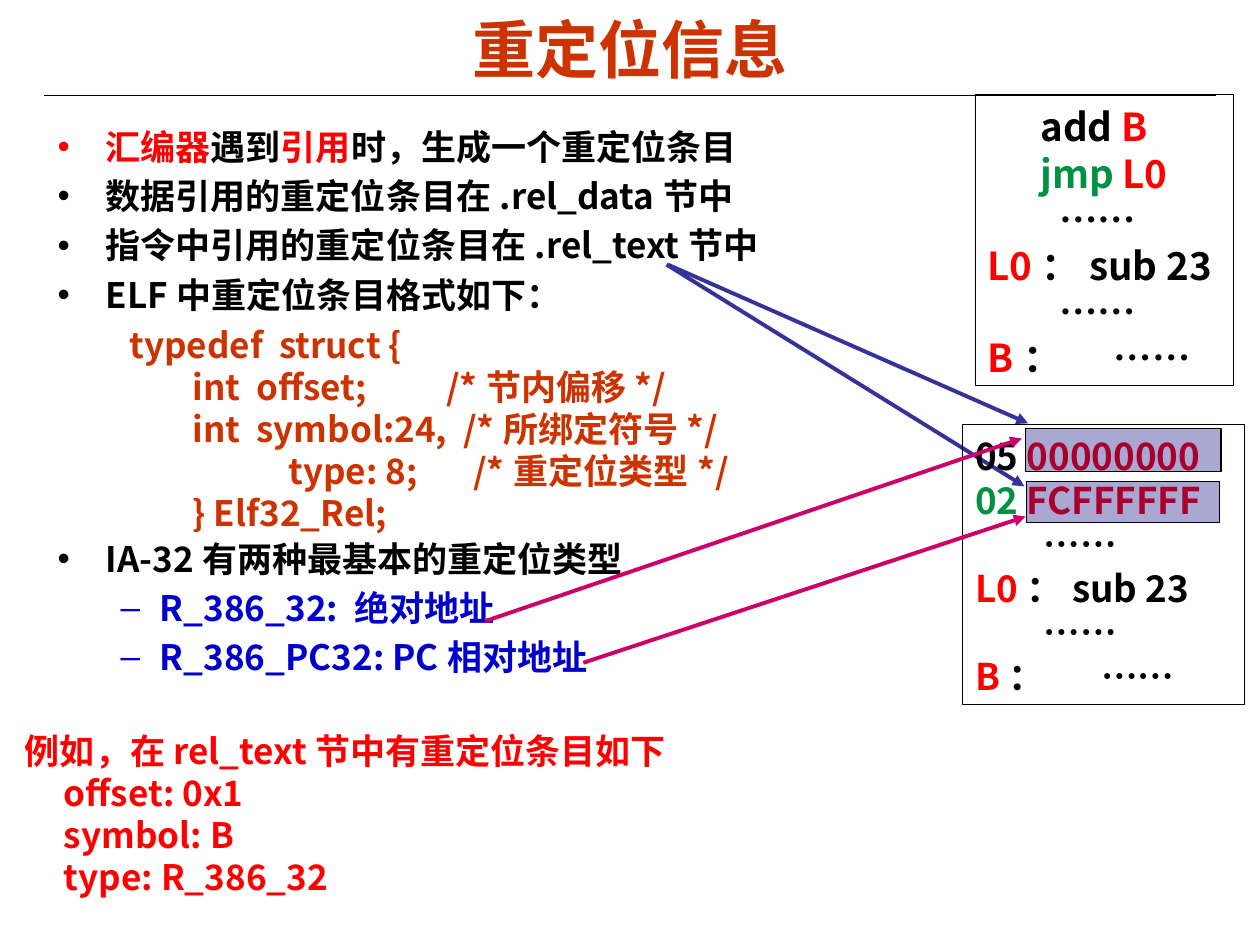
from collections import namedtuple

from lxml.etree import SubElement
from pptx import Presentation
from pptx.dml.color import RGBColor
from pptx.enum.shapes import MSO_CONNECTOR, MSO_SHAPE
from pptx.enum.text import MSO_ANCHOR, PP_ALIGN
from pptx.oxml.ns import qn
from pptx.util import Inches, Pt

Box = namedtuple("Box", "left top width height")
COLUMNS, ROWS = 100, 75
BODY_FONT = "Noto Sans CJK SC"
BLACK, RED, GREEN, RUST = "000000", "FF0000", "009242", "CC3300"
BLUE, INDIGO, MAGENTA, NAVY = "0000CC", "333399", "CC0066", "000080"

deck = Presentation()
deck.slide_width, deck.slide_height = Inches(10), Inches(7.5)
page = deck.slides.add_slide(deck.slide_layouts[6])


def color(value):
    return RGBColor.from_string(value)


def across(columns):
    return round(deck.slide_width * columns / COLUMNS)


def down(rows):
    return round(deck.slide_height * rows / ROWS)


def frame(box):
    return across(box.left), down(box.top), across(box.width), down(box.height)


def add_rectangle(box, fill=None, alpha=None):
    shape = page.shapes.add_shape(MSO_SHAPE.RECTANGLE, *frame(box))
    shape.shadow.inherit = False
    shape.line.color.rgb = color(BLACK)
    shape.line.width = Pt(0.75)
    if fill is None:
        shape.fill.background()
    else:
        shape.fill.solid()
        shape.fill.fore_color.rgb = color(fill)
        tone = shape.fill._xPr.find(qn("a:solidFill"))[0]
        SubElement(tone, qn("a:alpha"), val=str(alpha * 1000))
    return shape


def add_line(start, end, tint, width, arrow=False):
    line = page.shapes.add_connector(
        MSO_CONNECTOR.STRAIGHT,
        across(start[0]), down(start[1]), across(end[0]), down(end[1]))
    line.line.color.rgb = color(tint)
    line.line.width = Pt(width)
    if arrow:
        SubElement(line.line._ln, qn("a:tailEnd"), type="triangle")
    SubElement(line._element.spPr, qn("a:effectLst"))


def prepare(shape):
    text = shape.text_frame
    text.word_wrap = True
    text.vertical_anchor = MSO_ANCHOR.TOP
    text.margin_top = Inches(0.07)
    return text


def add_para(text, spans, size, first, margin=0, hanging=0, bullet=None,
             tab=None, before=0):
    para = text.paragraphs[0] if first else text.add_paragraph()
    properties = para._p.get_or_add_pPr()
    properties.set("marL", str(int(margin)))
    properties.set("indent", str(int(-hanging)))
    if bullet:
        SubElement(properties, qn("a:buFont"), typeface="Arial")
        SubElement(properties, qn("a:buChar"), char=bullet)
    if tab:
        stops = SubElement(properties, qn("a:tabLst"))
        SubElement(stops, qn("a:tab"), pos=str(int(tab)), algn="l")
    para.alignment = PP_ALIGN.LEFT
    para.line_spacing = Pt(round(size * 1.2, 1))
    para.space_before = Pt(0 if first else before)
    para.font.size = Pt(size)
    para.font.bold = True
    para.font.name = BODY_FONT
    SubElement(para.font._element, qn("a:ea"), typeface=BODY_FONT)
    for words, tint in spans:
        span = para.add_run()
        span.text = words
        span.font.color.rgb = color(tint)


def add_title(box):
    text = page.shapes.add_textbox(*frame(box)).text_frame
    text.word_wrap = True
    text.vertical_anchor = MSO_ANCHOR.MIDDLE
    para = text.paragraphs[0]
    para.text = "重定位信息"
    para.alignment = PP_ALIGN.CENTER
    para.font.name = "Arial"
    para.font.size = Pt(36)
    para.font.bold = True
    para.font.color.rgb = color(RUST)
    add_line((3.5, 7.6), (96.5, 7.6), BLACK, 0.75)


def add_bullets(box):
    text = prepare(page.shapes.add_textbox(*frame(box)))
    code_gap = 127
    points = [
        ([("汇编器", RED), ("遇到", BLACK), ("引用", RED),
          ("时，生成一个重定位条目", BLACK)], 4),
        ([("数据引用的重定位条目在.rel_data节中", BLACK)], 4),
        ([("指令中引用的重定位条目在.rel_text节中", BLACK)], 4),
        ([("ELF中重定位条目格式如下：", BLACK)], 4),
        ([("IA-32有两种最基本的重定位类型", BLACK)], code_gap),
    ]
    for index, (spans, before) in enumerate(points):
        add_para(text, spans, 20, index == 0, Inches(0.38), Inches(0.38),
                 "•", before=before)
    for words in ("R_386_32: 绝对地址", "R_386_PC32: PC相对地址"):
        add_para(text, [(words, BLUE)], 20, False, Inches(0.81),
                 Inches(0.31), "–", before=4)


def add_code(box):
    text = prepare(page.shapes.add_textbox(*frame(box)))
    lines = [
        "typedef  struct {",
        "\tint  offset;          /*节内偏移*/",
        "  \tint  symbol:24,  /*所绑定符号*/",
        "                    type: 8;       /*重定位类型*/",
        "\t} Elf32_Rel;",
    ]
    for index, words in enumerate(lines):
        add_para(text, [(words, RUST)], 20, index == 0, tab=Inches(1))


def add_example(box):
    text = prepare(page.shapes.add_textbox(*frame(box)))
    lines = ["例如，在rel_text节中有重定位条目如下",
             "offset: 0x1", "symbol: B", "type: R_386_32"]
    for index, words in enumerate(lines):
        add_para(text, [(words, RED)], 20, index == 0,
                 Inches(0.31) if index else 0)


def add_listing(box, size, opening, opening_indent):
    text = prepare(add_rectangle(box))
    dots = ([("……", BLACK)], 1.86)
    lines = [(spans, opening_indent) for spans in opening] + [
        dots,
        ([("L0", RED), ("：sub 23", BLACK)], 0),
        dots,
        ([("B", RED), ("：\t……", BLACK)], 0),
    ]
    for index, (spans, indent) in enumerate(lines):
        add_para(text, spans, size, index == 0, Pt(size * indent),
                 tab=Pt(size * 2.4))


def add_highlights(box):
    for left, top, width, height in ((5, 0.3, 15.5, 3.4), (5.1, 4.5, 15.3, 3.3)):
        add_rectangle(Box(box.left + left, box.top + top, width, height),
                      NAVY, 34)


def add_arrows(tint, routes):
    for start, end in routes:
        add_line(start, end, tint, 2.25, arrow=True)


def main():
    machine = Box(76.4, 33.7, 22.4, 22.2)
    add_title(Box(5, 0.8, 90, 6.1))
    add_bullets(Box(3.6, 9.3, 93.2, 49.7))
    add_code(Box(9.3, 25, 54.8, 17.8))
    add_example(Box(1, 57.2, 53.6, 14.3))
    add_listing(Box(77.4, 7.5, 20.5, 23.1), 22,
                [[("add ", BLACK), ("B", RED)],
                 [("jmp ", GREEN), ("L0", RED)]], 1.37)
    add_arrows(INDIGO, [((52.9, 21), (81.3, 38.6)), ((53, 21), (81.6, 33.6))])
    add_listing(machine, 21,
                [[("05", BLACK), (" 00000000", RED)],
                 [("02 ", GREEN), ("FCFFFFFF", RED)]], 0)
    add_highlights(machine)
    add_arrows(MAGENTA, [((38.5, 49.3), (81.1, 34.8)),
                         ((46.3, 52.6), (81.4, 41))])
    deck.save("out.pptx")


if __name__ == "__main__":
    main()
